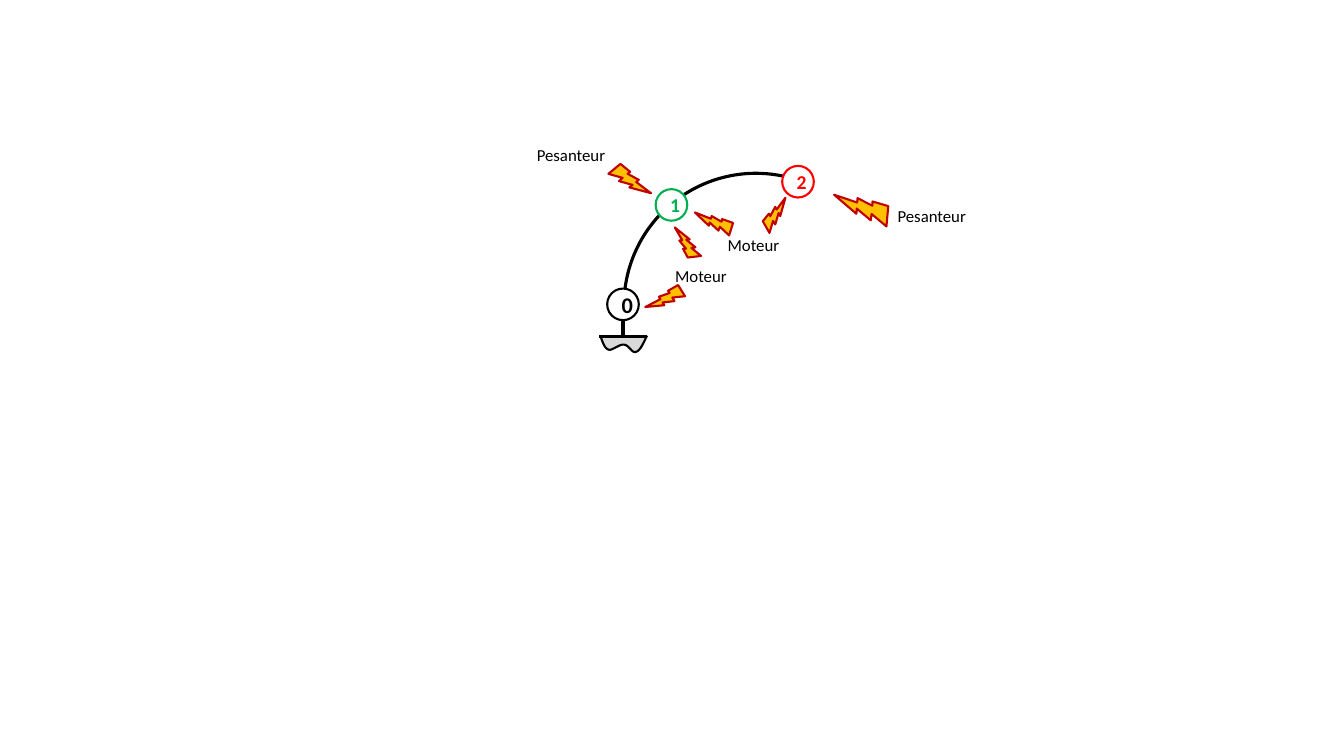
from dataclasses import dataclass

import pptx
import pptx.dml.color
import pptx.enum.shapes
import pptx.enum.text
import pptx.oxml.ns
import pptx.util
from lxml import etree

Pt = pptx.util.Pt
Shape = pptx.enum.shapes.MSO_SHAPE
qn = pptx.oxml.ns.qn


@dataclass(frozen=True)
class Theme:
    font: str = "Calibri"
    black: str = "000000"
    white: str = "FFFFFF"
    green: str = "00B050"
    red: str = "FF0000"
    ground: str = "D9D9D9"
    bolt_fill: str = "FFC000"
    bolt_line: str = "C00000"
    label_size: float = 12
    node_size: float = 14
    base_size: float = 16
    thin: float = 1.5
    thick: float = 2.25


THEME = Theme()
NODE_DIAMETER = 22.6
LABEL_WIDTH, LABEL_HEIGHT = 62.6, 14.4

# Center x, center y, text, colour, text size
NODES = [
    (479.6, 146.4, "1", THEME.green, THEME.node_size),
    (570, 129.8, "2", THEME.red, THEME.node_size),
    (445, 217.4, "0", THEME.black, THEME.base_size),
]

# Left, top, width, height, rotation, mirrored
BOLTS = [
    (479.5, 164.9, 23, 18.7, 193.5, False),
    (600.5, 132.5, 33.8, 33.8, 70.5, True),
    (465.8, 200.9, 20.9, 25.2, 29.5, True),
    (436.3, 115.9, 25.9, 25.9, 345, False),
    (542.2, 144.7, 23, 18.7, 260.6, False),
    (500.4, 146.9, 20.9, 25.2, 78.6, True),
]

# Left, top, text
LABELS = [
    (634.3, 146.9, "Pesanteur"),
    (376.6, 103.7, "Pesanteur"),
    (506.9, 167.8, "Moteur"),
    (469.4, 190.1, "Moteur"),
]

# Wavy underside of the ground: a start point, then cubic curves
GROUND_START = (429.1, 240.5)
GROUND_CURVES = [
    ((430.6, 244.8), (432, 249.1), (434.9, 249.8)),
    ((437, 250.6), (442.8, 245.5), (445.7, 246.2)),
    ((449.3, 246.2), (451.4, 252.7), (454.3, 251.3)),
    ((457.2, 250.6), (459.4, 245.5), (462.2, 239.8)),
]


def rgb(colour):
    return pptx.dml.color.RGBColor.from_string(colour)


def style(shape, fill, line, width):
    shape.shadow.inherit = False
    if fill:
        shape.fill.solid()
        shape.fill.fore_color.rgb = rgb(fill)
    else:
        shape.fill.background()
    shape.line.color.rgb = rgb(line)
    shape.line.width = Pt(width)


def add_text(frame, text, size, colour, bold=False):
    frame.word_wrap = True
    paragraph = frame.paragraphs[0]
    paragraph.alignment = pptx.enum.text.PP_ALIGN.CENTER
    run = paragraph.add_run()
    run.text = text
    run.font.name = THEME.font
    run.font.size = Pt(size)
    run.font.bold = bold
    run.font.color.rgb = rgb(colour)


def add_arc(shapes, left, top, diameter, start, end):
    shape = shapes.add_shape(Shape.ARC, Pt(left), Pt(top), Pt(diameter), Pt(diameter))
    # Angles are stored in 60000ths of a degree, adjustments in 100000ths
    for index, angle in enumerate((start, end)):
        shape.adjustments[index] = angle * 0.6
    style(shape, None, THEME.black, THEME.thick)


def add_line(shapes, x1, y1, x2, y2):
    line = shapes.add_connector(
        pptx.enum.shapes.MSO_CONNECTOR.STRAIGHT, Pt(x1), Pt(y1), Pt(x2), Pt(y2)
    )
    line.line.color.rgb = rgb(THEME.black)
    line.line.width = Pt(THEME.thick)
    etree.SubElement(line.element.spPr, qn("a:effectLst"))


def curve_points(start, curves, steps=10):
    points = []
    for first, second, end in curves:
        for step in range(1, steps + 1):
            t = step / steps
            u = 1 - t
            points.append(tuple(
                Pt(u**3 * a + 3 * u * u * t * b + 3 * u * t * t * c + t**3 * d)
                for a, b, c, d in zip(start, first, second, end)
            ))
        start = end
    return points


def add_ground(shapes):
    group = shapes.add_group_shape()
    builder = group.shapes.build_freeform(*map(Pt, GROUND_START))
    builder.add_line_segments(curve_points(GROUND_START, GROUND_CURVES), close=False)
    style(builder.convert_to_shape(), THEME.ground, THEME.black, THEME.thin)
    add_line(group.shapes, 445, 229, 445, 240)
    add_line(group.shapes, 462.2, 240.5, 427.7, 240.5)


def add_node(shapes, center_x, center_y, text, colour, size):
    radius = NODE_DIAMETER / 2
    shape = shapes.add_shape(
        Shape.OVAL, Pt(center_x - radius), Pt(center_y - radius),
        Pt(NODE_DIAMETER), Pt(NODE_DIAMETER),
    )
    style(shape, THEME.white, colour, THEME.thin)
    shape.text_frame.vertical_anchor = pptx.enum.text.MSO_ANCHOR.MIDDLE
    add_text(shape.text_frame, text, size, colour, bold=True)


def add_bolt(shapes, left, top, width, height, rotation, mirrored):
    shape = shapes.add_shape(
        Shape.LIGHTNING_BOLT, Pt(left), Pt(top), Pt(width), Pt(height)
    )
    style(shape, THEME.bolt_fill, THEME.bolt_line, THEME.thin)
    shape.rotation = rotation
    if mirrored:
        shape.element.spPr.find(qn("a:xfrm")).set("flipH", "1")


def add_label(shapes, left, top, text):
    box = shapes.add_textbox(Pt(left), Pt(top), Pt(LABEL_WIDTH), Pt(LABEL_HEIGHT))
    frame = box.text_frame
    frame.margin_left = frame.margin_right = frame.margin_top = frame.margin_bottom = 0
    frame.auto_size = pptx.enum.text.MSO_AUTO_SIZE.SHAPE_TO_FIT_TEXT
    add_text(frame, text, THEME.label_size, THEME.black)


def main():
    presentation = pptx.Presentation()
    presentation.slide_width = Pt(960)
    presentation.slide_height = Pt(540)
    slide = presentation.slides.add_slide(presentation.slide_layouts[6])
    shapes = slide.shapes

    # Arm and its support
    add_arc(shapes, 445.7, 123.8, 188.6, 185.38, 289.03)
    add_ground(shapes)

    # Solids
    for node in NODES:
        add_node(shapes, *node)

    # Actions and their names
    for bolt in BOLTS:
        add_bolt(shapes, *bolt)
    for label in LABELS:
        add_label(shapes, *label)

    presentation.save("out.pptx")


if __name__ == "__main__":
    main()
